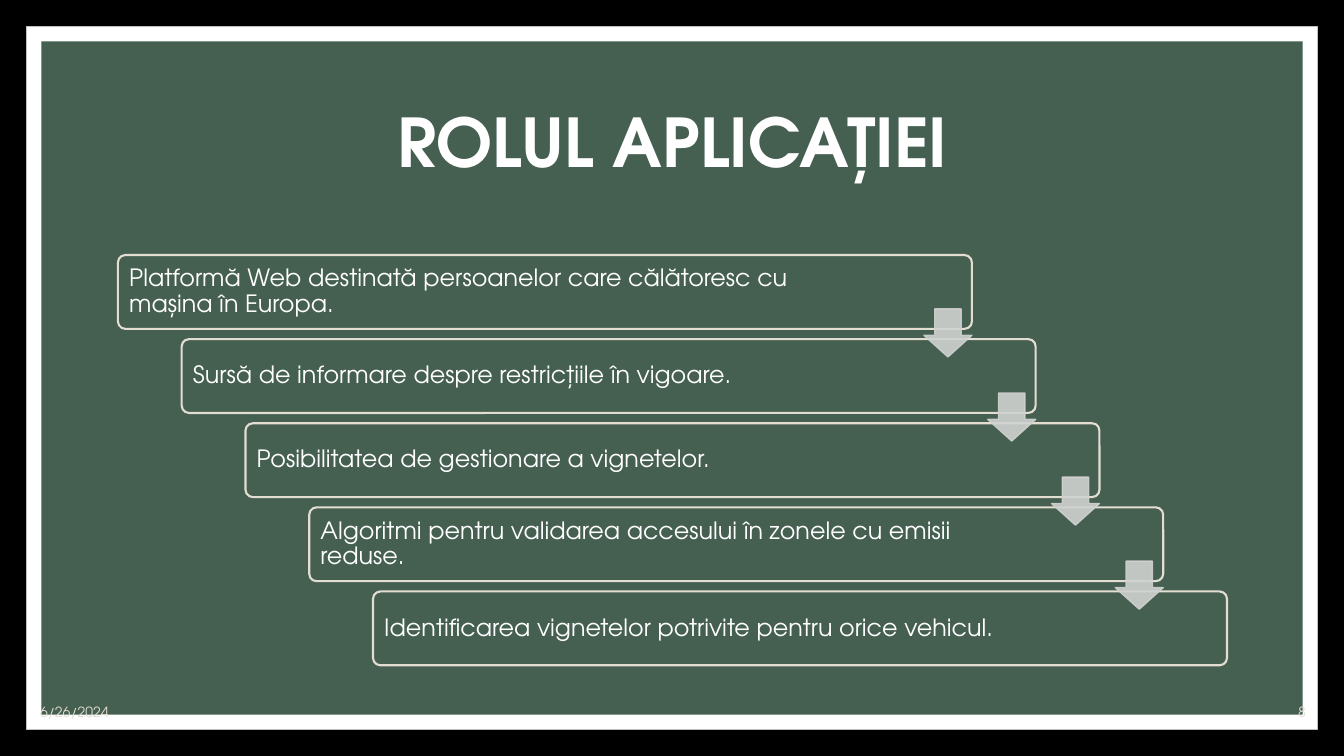
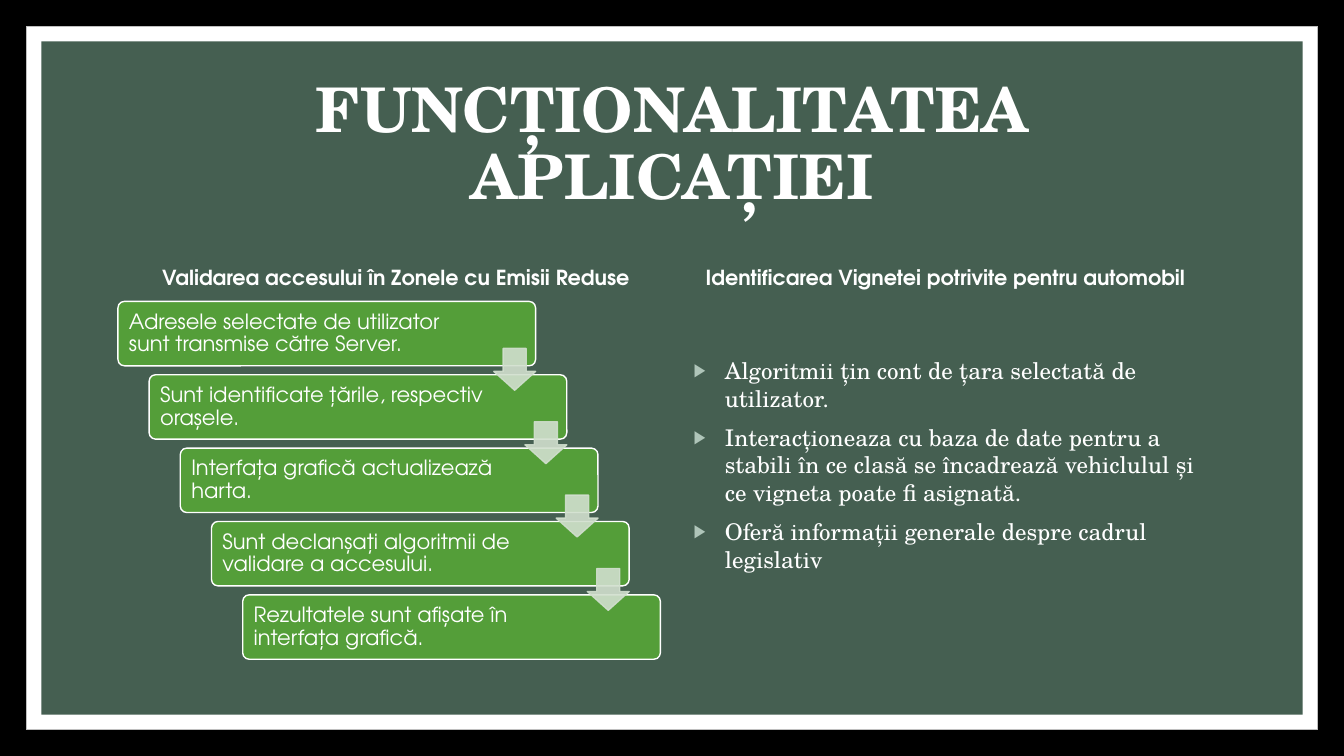
"""Build two slides on the role and the workings of a web application."""
from lxml.etree import SubElement
from pptx import Presentation
from pptx.dml.color import RGBColor
from pptx.enum.shapes import MSO_SHAPE as SHAPE
from pptx.enum.text import MSO_ANCHOR as ANCHOR, MSO_AUTO_SIZE as AUTO, PP_ALIGN as ALIGN
from pptx.oxml.ns import qn
from pptx.util import Inches, Pt

SLIDE_W, SLIDE_H = 13.33, 7.5
LEFT, WIDTH = 1.17, 11
COL_W, COL_GAP = 5.38, 0.23
RIGHT_COL = LEFT + COL_W + COL_GAP
SANS, SERIF = "TeX Gyre Adventor", "TeX Gyre Schola"
COLORS = {
    "back": "000000", "white": "FFFFFF", "edge": "BFBFBF", "panel": "455F51",
    "sand": "E3DED1", "green": "549E39", "bullet": "AFC5B9",
    "arrow_grey": "CFD2D0", "arrow_green": "D1DFCE",
}
ROLES = [
    "Platformă Web destinată persoanelor care călătoresc cu mașina în Europa.",
    "Sursă de informare despre restricțiile în vigoare.",
    "Posibilitatea de gestionare a vignetelor.",
    "Algoritmi pentru validarea accesului în zonele cu emisii reduse.",
    "Identificarea vignetelor potrivite pentru orice vehicul.",
]
STEPS = [
    "Adresele selectate de utilizator sunt transmise către Server.",
    "Sunt identificate țările, respectiv orașele.",
    "Interfața grafică actualizează harta.",
    "Sunt declanșați algoritmii de validare a accesului.",
    "Rezultatele sunt afișate în interfața grafică.",
]
VIGNETTE_POINTS = [
    "Algoritmii țin cont de țara selectată de utilizator.",
    "Interacționeaza cu baza de date pentru a stabili în ce clasă se "
    "încadrează vehiclulul și ce vigneta poate fi asignată.",
    "Oferă informații generale despre cadrul legislativ",
]


def rgb(name):
    return RGBColor.from_string(COLORS[name])


def place(sp, x, y, w, h):
    sp.left, sp.top, sp.width, sp.height = map(Inches, (x, y, w, h))


def style(p, size, font=SANS, color="white", bold=False):
    for r in p.runs:
        r.font.size, r.font.name, r.font.bold = Pt(size), font, bold
        r.font.color.rgb = rgb(color)


def add_shape(s, kind, box, fill, line=None, line_w=1):
    sp = s.shapes.add_shape(kind, *map(Inches, box))
    sp.shadow.inherit = False
    sp.fill.solid()
    sp.fill.fore_color.rgb = rgb(fill)
    if line:
        sp.line.color.rgb = rgb(line)
        sp.line.width = Pt(line_w)
    else:
        sp.line.fill.background()
    return sp


def add_label(s, text, box, size, color="white", bold=False, align=ALIGN.LEFT, anchor=ANCHOR.TOP):
    tf = s.shapes.add_textbox(*map(Inches, box)).text_frame
    tf.word_wrap = True
    tf.vertical_anchor = anchor
    p = tf.paragraphs[0]
    p.text, p.alignment = text, align
    style(p, size, color=color, bold=bold)


def set_master(prs, s):
    master = prs.slide_master
    master.background.fill.solid()
    master.background.fill.fore_color.rgb = rgb("back")
    frames = [(0.26, "white", "edge"), (0.41, "panel", None)]
    for i, (inset, fill, line) in enumerate(frames):
        box = (inset, inset, SLIDE_W - 2 * inset, SLIDE_H - 2 * inset)
        el = add_shape(s, SHAPE.RECTANGLE, box, fill, line, 0.5)._element
        el.nvSpPr.cNvPr.set("id", str(100 + i))
        master.shapes._spTree.insert(2 + i, el)


def set_title(s, text, size, font):
    sp = s.shapes.title
    place(sp, LEFT, 0.7, WIDTH, 1.5)
    tf = sp.text_frame
    tf.text = text
    tf.auto_size, tf.vertical_anchor = AUTO.NONE, ANCHOR.MIDDLE
    p = tf.paragraphs[0]
    p.alignment, p.line_spacing = ALIGN.CENTER, 0.9
    style(p, size, font, bold=True)


def add_step(s, text, box, size, fill, line, line_w, right_margin):
    sp = add_shape(s, SHAPE.ROUNDED_RECTANGLE, box, fill, line, line_w)
    sp.adjustments[0] = 0.1
    tf = sp.text_frame
    tf.word_wrap, tf.vertical_anchor = True, ANCHOR.MIDDLE
    tf.margin_left, tf.margin_right = Inches(0.09), Inches(right_margin)
    tf.margin_top = tf.margin_bottom = Inches(0.07)
    p = tf.paragraphs[0]
    p.text, p.alignment, p.line_spacing = text, ALIGN.LEFT, 0.9
    style(p, size)


def add_arrow(s, box, color):
    sp = add_shape(s, SHAPE.DOWN_ARROW, box, color, color)
    sp.adjustments[0], sp.adjustments[1] = 0.55, 0.45
    for clr in sp._element.spPr.iter(qn("a:srgbClr")):
        SubElement(clr, qn("a:alpha")).set("val", "90000")


def add_staircase(s, texts, area, arrow_color, **look):
    x, y, w, h = area
    step_w, step_h = 0.77 * w, 0.18 * h
    gaps = len(texts) - 1
    dx, dy = (w - step_w) / gaps, (h - step_h) / gaps
    for i, text in enumerate(texts):
        add_step(s, text, (x + i * dx, y + i * dy, step_w, step_h), **look)
    side = 0.65 * step_h
    for i in range(gaps):
        box = (x + i * dx + step_w - side, y + i * dy + 0.73 * step_h, side, side)
        add_arrow(s, box, arrow_color)


def add_bullet(p):
    pPr = p._p.get_or_add_pPr()
    pPr.set("marL", str(Inches(0.31)))
    pPr.set("indent", str(-Inches(0.31)))
    clr = SubElement(SubElement(pPr, qn("a:buClr")), qn("a:srgbClr"))
    clr.set("val", COLORS["bullet"])
    SubElement(pPr, qn("a:buSzPct")).set("val", "80000")
    SubElement(pPr, qn("a:buChar")).set("char", "▶")


def set_list(s, items, box):
    sp = s.placeholders[1]
    place(sp, *box)
    tf = sp.text_frame
    tf.text = "\n".join(items)
    tf.auto_size, tf.vertical_anchor = AUTO.NONE, ANCHOR.MIDDLE
    for i, p in enumerate(tf.paragraphs):
        add_bullet(p)
        p.space_before = Pt(8.2 if i else 0)
        style(p, 16.4, SERIF)


def build_role(s):
    set_title(s, "ROLUL APLICAȚIEI", 48, SANS)
    add_label(s, "6/26/2024", (0.3, 6.9, 3, 0.3), 10, "sand", anchor=ANCHOR.BOTTOM)
    add_label(s, "8", (11.45, 6.9, 1.6, 0.3), 10, "sand", align=ALIGN.RIGHT, anchor=ANCHOR.BOTTOM)
    add_staircase(s, ROLES, (LEFT, 2.53, WIDTH, 4.07), "arrow_grey",
                  size=17, fill="panel", line="sand", line_w=1.5, right_margin=1.3)


def build_function(s):
    set_title(s, "FUNCȚIONALITATEA APLICAȚIEI", 44, SERIF)
    add_staircase(s, STEPS, (LEFT, 2.99, COL_W, 3.55), "arrow_green",
                  size=15, fill="green", line="white", line_w=1, right_margin=0.8)
    headings = [
        ("Validarea accesului în Zonele cu Emisii Reduse", 1.51),
        ("Identificarea Vignetei potrivite pentru automobil", 6.9),
    ]
    for text, x in headings:
        add_label(s, text, (x, 2.58, 5.15, 0.35), 14.8, bold=True)
    set_list(s, VIGNETTE_POINTS, (RIGHT_COL, 2.99, COL_W, 3.24))


def main():
    prs = Presentation()
    prs.slide_width, prs.slide_height = Inches(SLIDE_W), Inches(SLIDE_H)
    role = prs.slides.add_slide(prs.slide_layouts[5])
    set_master(prs, role)
    build_role(role)
    build_function(prs.slides.add_slide(prs.slide_layouts[1]))
    prs.save("out.pptx")


if __name__ == "__main__":
    main()
